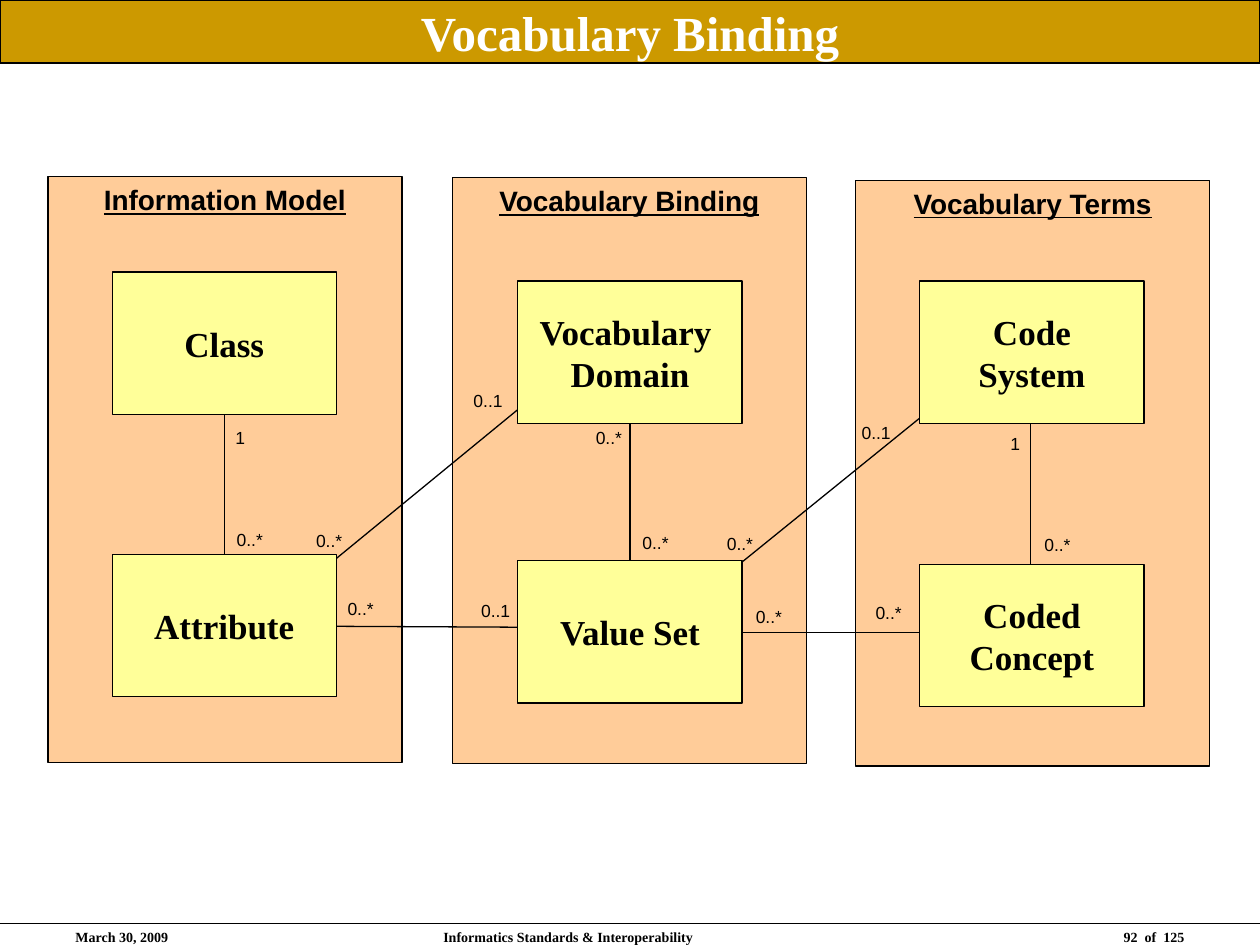
from typing import NamedTuple

from lxml import etree
from pptx import Presentation
from pptx import util as u
from pptx.dml.color import RGBColor
from pptx.enum import shapes, text
from pptx.oxml.ns import qn

PX = 9144  # EMU per px, at 100 px to the inch
SERIF, SANS = "Times New Roman", "Arial"
BLACK, WHITE = "000000", "FFFFFF"
GOLD, PEACH, YELLOW = "CC9900", "FFCC99", "FFFF99"
LEFT, CENTER, RIGHT = text.PP_ALIGN.LEFT, text.PP_ALIGN.CENTER, text.PP_ALIGN.RIGHT
TOP, MIDDLE = text.MSO_ANCHOR.TOP, text.MSO_ANCHOR.MIDDLE
PANEL_EXTENT = (281, 465)
ENTITY_EXTENT = (178, 113)


class Block(NamedTuple):
    label: str
    left: int
    top: int


class Line(NamedTuple):
    x1: int
    y1: int
    x2: int
    y2: int


class Footer(NamedTuple):
    label: str
    left: int
    width: int
    align: text.PP_ALIGN


PANELS = [
    Block("Vocabulary Terms", 679, 143),
    Block("Vocabulary Binding", 359, 141),
    Block("Information Model", 38, 140),
]
ASSOCIATIONS = [
    Line(573, 459, 752, 314),  # Value Set - Code System
    Line(818, 295, 818, 511),  # Code System - Coded Concept
    Line(571, 502, 764, 502),  # Value Set - Coded Concept
    Line(500, 284, 500, 490),  # Vocabulary Domain - Value Set
    Line(246, 497, 456, 498),  # Attribute - Value Set
    Line(238, 467, 444, 298),  # Attribute - Vocabulary Domain
    Line(178, 298, 178, 476),  # Class - Attribute
]
ENTITIES = [
    Block("Class", 89, 216),
    Block("Attribute", 89, 440),
    Block("Vocabulary \nDomain", 411, 223),
    Block("Value Set", 411, 445),
    Block("Coded\nConcept", 730, 448),
    Block("Code\nSystem", 730, 223),
]
MULTIPLICITIES = [
    Block("1", 177, 334),
    Block("0..*", 178, 415),
    Block("0..*", 241, 416),
    Block("0..1", 366, 305),
    Block("0..1", 372, 471),
    Block("0..*", 266, 470),
    Block("0..*", 500, 417),
    Block("0..*", 463, 334),
    Block("0..*", 590, 476),
    Block("0..*", 685, 473),
    Block("0..*", 819, 419),
    Block("1", 792, 339),
    Block("0..*", 567, 418),
    Block("0..1", 674, 330),
]
LABEL_WIDTHS = {"1": 28, "0..*": 41, "0..1": 43}
FOOTERS = [
    Footer("March 30, 2009", 50, 233, LEFT),
    Footer("Informatics Standards & Interoperability", 342, 317, LEFT),
    Footer("92  of  125", 717, 233, RIGHT),
]


def px(*lengths: int) -> list[u.Emu]:
    return [u.Emu(length * PX) for length in lengths]


def color(value: str) -> RGBColor:
    return RGBColor.from_string(value)


def write(shape, label: str, *, size: int, font: str = SERIF, ink: str = BLACK,
          bold: bool = True, underline: bool = False, align=CENTER, anchor=MIDDLE,
          wrap: bool = False, grow: bool = False) -> None:
    frame = shape.text_frame
    frame.text = label
    frame.word_wrap = wrap
    frame.vertical_anchor = anchor
    fit = text.MSO_AUTO_SIZE
    frame.auto_size = fit.SHAPE_TO_FIT_TEXT if grow else fit.NONE
    for paragraph in frame.paragraphs:
        paragraph.alignment = align
        style = paragraph.font
        style.name, style.size = font, u.Pt(size)
        style.bold, style.underline = bold, underline
        style.color.rgb = color(ink)


def paint(shape, fill: str) -> None:
    shape.fill.solid()
    shape.fill.fore_color.rgb = color(fill)
    shape.line.color.rgb = color(BLACK)
    shape.line.width = u.Pt(0.75)


def draw_block(slide, block: Block, extent: tuple[int, int], fill: str, **style) -> None:
    shape = slide.shapes.add_shape(
        shapes.MSO_SHAPE.RECTANGLE, *px(block.left, block.top, *extent))
    shape.shadow.inherit = False
    paint(shape, fill)
    write(shape, block.label, **style)


def draw_line(slide, line: Line) -> None:
    connector = slide.shapes.add_connector(shapes.MSO_CONNECTOR.STRAIGHT, *px(*line))
    connector.line.color.rgb = color(BLACK)
    connector.line.width = u.Pt(0.75)
    etree.SubElement(connector._element.spPr, qn("a:effectLst"))


def draw_label(slide, label: str, box: tuple[int, int, int, int], **style) -> None:
    write(slide.shapes.add_textbox(*px(*box)), label, anchor=TOP, **style)


def main() -> None:
    deck = Presentation()
    deck.slide_width, deck.slide_height = px(1000, 750)
    slide = deck.slides.add_slide(deck.slide_layouts[5])

    # Title bar
    title = slide.shapes.title
    title.left, title.top, title.width, title.height = px(0, 0, 1000, 50)
    paint(title, GOLD)
    write(title, "Vocabulary Binding", size=28, ink=WHITE, wrap=True)

    # Footer
    draw_line(slide, Line(0, 733, 1000, 733))
    for footer in FOOTERS:
        draw_label(slide, footer.label, (footer.left, 732, footer.width, 17),
                   size=8, align=footer.align, wrap=True)

    # Panels, then associations, with the entities covering the line ends
    for panel in PANELS:
        draw_block(slide, panel, PANEL_EXTENT, PEACH,
                   size=16, font=SANS, underline=True, anchor=TOP)
    for association in ASSOCIATIONS:
        draw_line(slide, association)
    for entity in ENTITIES:
        draw_block(slide, entity, ENTITY_EXTENT, YELLOW, size=20)

    # Multiplicities at the association ends
    for end in MULTIPLICITIES:
        draw_label(slide, end.label, (end.left, end.top, LABEL_WIDTHS[end.label], 27),
                   size=10, font=SANS, bold=False, align=LEFT, grow=True)

    deck.save("out.pptx")


if __name__ == "__main__":
    main()
